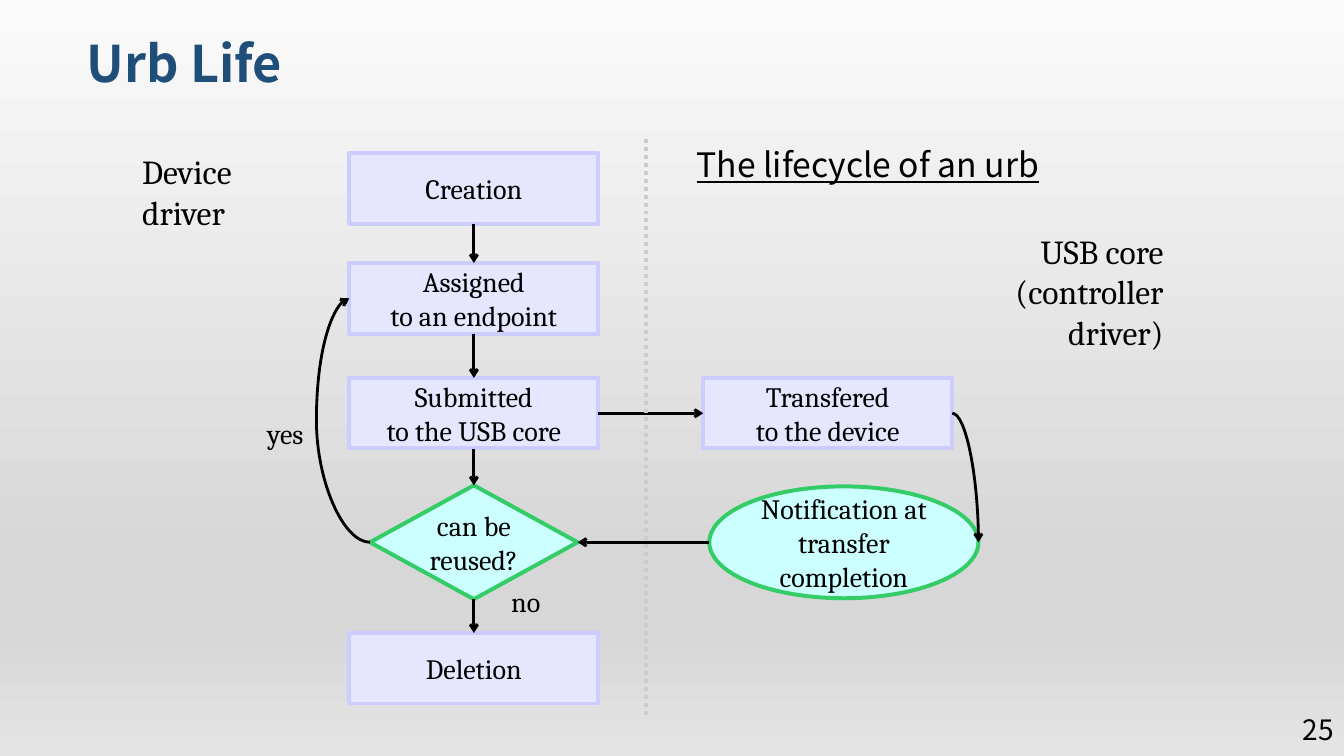
from copy import deepcopy
from lxml.etree import SubElement
from pptx import Presentation
from pptx.dml.color import RGBColor
from pptx.enum.dml import MSO_LINE
from pptx.enum.shapes import MSO_CONNECTOR, MSO_SHAPE
from pptx.enum.text import MSO_ANCHOR, PP_ALIGN
from pptx.oxml.ns import qn
from pptx.util import Inches, Pt

SERIF, SANS = "Cambria", "Noto Sans CJK TC"


def color(code):
    return RGBColor.from_string(code)


def write(shape, text, size, face=SERIF, align=PP_ALIGN.LEFT, inset=0,
          anchor=MSO_ANCHOR.TOP, wrap=True, ink="000000"):
    frame = shape.text_frame
    frame.word_wrap = wrap
    frame.vertical_anchor = anchor
    frame.margin_left = frame.margin_right = Inches(inset)
    frame.margin_top = frame.margin_bottom = Inches(min(inset, 0.05))
    para = frame.paragraphs[0]
    para.alignment = align
    for i, line in enumerate(text.split("\n")):
        if i:
            para.add_line_break()
        run = para.add_run()
        run.text = line
        run.font.size = Pt(size)
        run.font.name = face
        run.font.color.rgb = color(ink)
    return para


deck = Presentation()
deck.slide_width, deck.slide_height = Inches(13.33), Inches(7.5)
slide = deck.slides.add_slide(deck.slide_layouts[1])
shapes = slide.shapes

# Grey backdrop, light at the top
fill = slide.background.fill
fill.gradient()
fill.gradient_angle = 270
stops = slide.element.find(".//" + qn("a:gsLst"))
for _ in range(2):
    stops.append(deepcopy(stops[0]))
shades = [(0, "FAFAFA"), (0.74, "D7D7D7"), (0.83, "D7D7D7"), (1, "E4E4E4")]
for stop, (place, shade) in zip(fill.gradient_stops, shades):
    stop.position = place
    stop.color.rgb = color(shade)

# Title and subtitle
title, body = shapes.title, slide.placeholders[1]
title.left, title.top, title.width, title.height = map(Inches, (0.76, 0.21, 11.81, 0.77))
para = write(title, "Urb Life", 36, SANS, inset=0.1, anchor=MSO_ANCHOR.BOTTOM, ink="1F4E79")
para.line_spacing = 0.9
para.runs[0].font.bold = True

body.left, body.top, body.width, body.height = map(Inches, (6.69, 1.42, 3.75, 0.55))
para = write(body, "The lifecycle of an urb", 24, SANS, inset=0.1)
para.line_spacing = 0.9
para.space_before = Pt(0)
para.runs[0].font.underline = True
props = para._p.get_or_add_pPr()
props.set("marL", str(Inches(0.47)))
props.set("indent", str(Inches(-0.35)))
SubElement(props, qn("a:buNone"))

# Grid of the flow chart: column centres, row centres, box size
MAIN, CORE, OVAL = 4.7, 8.21, 8.37
ROWS = [1.87, 2.96, 4.1, 5.38, 6.63]
WIDE, HIGH = 2.47, 0.7
BOX = (MSO_SHAPE.RECTANGLE, WIDE, HIGH, "E6E6FF", "CCCCFF")
TEST = (MSO_SHAPE.DIAMOND, 2.06, 1.13, "CCFFFF", "33CC66")
NOTE = (MSO_SHAPE.OVAL, 2.67, 1.11, "CCFFFF", "33CC66")

# Steps
steps = [
    (BOX, MAIN, 0, "Creation"),
    (BOX, MAIN, 1, "Assigned\nto an endpoint"),
    (BOX, MAIN, 2, "Submitted\nto the USB core"),
    (BOX, CORE, 2, "Transfered\nto the device"),
    (TEST, MAIN, 3, "can be\nreused?"),
    (NOTE, OVAL, 3, "Notification at\ntransfer completion"),
    (BOX, MAIN, 4, "Deletion"),
]
for (kind, wide, high, paint, edge), col, row, text in steps:
    step = shapes.add_shape(kind, Inches(col - wide / 2), Inches(ROWS[row] - high / 2),
                            Inches(wide), Inches(high))
    step.shadow.inherit = False
    step.fill.solid()
    step.fill.fore_color.rgb = color(paint)
    step.line.color.rgb = color(edge)
    step.line.width = Pt(2.83)
    write(step, text, 20, align=PP_ALIGN.CENTER, inset=0.02, anchor=MSO_ANCHOR.MIDDLE)

# Arrows down the main column, then across, then curved, and the divider
heights = [HIGH, HIGH, HIGH, TEST[2], HIGH]
lines = [("straight", MAIN, ROWS[i] + heights[i] / 2, MAIN, ROWS[i + 1] - heights[i + 1] / 2)
         for i in range(4)]
left, right = MAIN - TEST[1] / 2, MAIN + TEST[1] / 2
lines += [
    ("straight", MAIN + WIDE / 2, ROWS[2], CORE - WIDE / 2, ROWS[2]),
    ("straight", OVAL - NOTE[1] / 2, ROWS[3], right, ROWS[3]),
    ("bend", CORE + WIDE / 2, ROWS[2], OVAL + NOTE[1] / 2, ROWS[3]),
    ("loop", left, ROWS[3], MAIN - WIDE / 2, ROWS[1]),
    ("divider", 6.41, 1.38, 6.41, 7.12),
]
for kind, *ends in lines:
    curved = kind in ("bend", "loop")
    form = MSO_CONNECTOR.CURVE if curved else MSO_CONNECTOR.STRAIGHT
    link = shapes.add_connector(form, *map(Inches, ends))
    SubElement(link._element.spPr, qn("a:effectLst"))
    if kind == "divider":
        link.line.color.rgb = color("CCCCCC")
        link.line.width = Pt(2.83)
        link.line.dash_style = MSO_LINE.ROUND_DOT
        continue
    link.line.color.rgb = color("000000")
    link.line.width = Pt(0)
    SubElement(link.line._get_or_add_ln(), qn("a:tailEnd"), type="arrow")
    if kind == "bend":
        link._element.spPr.find(qn("a:prstGeom")).set("prst", "curvedConnector2")
    if kind == "loop":
        link.adjust = None
        guides = link._element.spPr.find(qn("a:prstGeom")).get_or_add_avLst()
        SubElement(guides, qn("a:gd"), name="adj1", fmla="val 259200")

# Labels
labels = [
    (2.65, 4.13, 0.37, 0.34, "yes", 20, PP_ALIGN.LEFT),
    (5.07, 5.8, 0.47, 0.34, "no", 20, PP_ALIGN.LEFT),
    (1.41, 1.5, 0.95, 0.81, "Device\ndriver", 24, PP_ALIGN.LEFT),
    (9.99, 2.29, 1.55, 1.23, "USB core\n(controller\ndriver)", 24, PP_ALIGN.RIGHT),
]
for *place, text, size, align in labels:
    write(shapes.add_textbox(*map(Inches, place)), text, size, align=align, wrap=False)

# Page number
page = shapes.add_textbox(*map(Inches, (12.08, 7.14, 1.25, 0.2)))
write(page, "25", 20, SANS, PP_ALIGN.RIGHT, 0.1, MSO_ANCHOR.MIDDLE)

deck.save("out.pptx")
